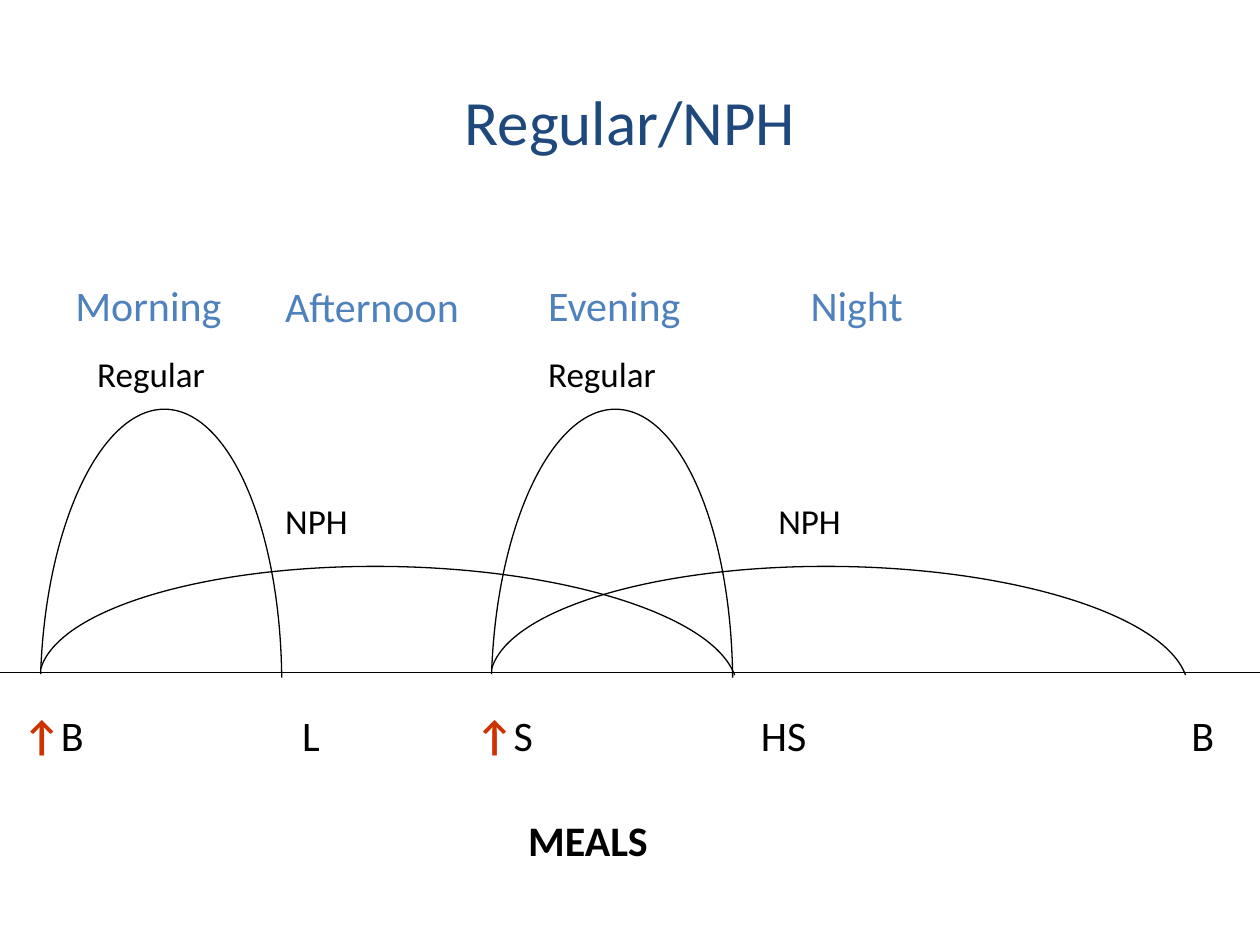
import dataclasses

import pptx
import pptx.dml.color
import pptx.enum.shapes
import pptx.enum.text
import pptx.oxml
import pptx.oxml.ns
import pptx.util

Cm = pptx.util.Cm
Pt = pptx.util.Pt
qn = pptx.oxml.ns.qn
Align = pptx.enum.text.PP_ALIGN
Anchor = pptx.enum.text.MSO_ANCHOR


@dataclasses.dataclass(frozen=True)
class Theme:
    font: str = "Calibri"
    ink: str = "000000"
    paper: str = "FFFFFF"
    title: str = "1F497D"
    period: str = "4F81BD"
    dose: str = "CC3300"
    title_size: int = 36
    body_size: int = 24
    label_size: int = 20
    line: float = 0.75


@dataclasses.dataclass(frozen=True)
class Box:
    """A region of the slide, in centimetres."""
    left: float
    top: float
    width: float
    height: float

    def inner(self, left, top, width, height):
        return Box(self.left + left, self.top + top, width, height)

    def lengths(self):
        return Cm(self.left), Cm(self.top), Cm(self.width), Cm(self.height)


THEME = Theme()
# Each curve is a start point, then three points for each Bezier segment.
REGULAR_CURVE = [(0.01, 6.6), (0.11, 3.6), (1.23, 1.24), (2.52, 1.26),
                 (3.81, 1.28), (4.84, 3.65), (4.87, 6.67)]
NPH_CURVE = [(0.01, 6.5), (0.36, 5.28), (3.4, 4.38), (7.04, 4.43),
             (10.59, 4.48), (13.56, 5.42), (14, 6.62)]
PERIODS = [("Afternoon", 5.5, 5.54, 4.65), ("Morning", 1.27, 5.5, 5.28),
           ("Evening", 10.8, 5.5, 5.08), ("Night", 16.09, 5.5, 5.72)]
MEAL_STOPS = [5.63, 9.13, 14.88, 23.56]
MEAL_SPANS = [("↑", True), ("B\tL\t", False), ("↑", True), ("S\tHS\tB", False)]


def rgb(color):
    return pptx.dml.color.RGBColor.from_string(color)


def style_line(shape, color=THEME.ink):
    shape.line.color.rgb = rgb(color)
    shape.line.width = Pt(THEME.line)


def add_span(para, text, size, color, bold=False):
    span = para.add_run()
    span.text = text
    span.font.name = THEME.font
    span.font.size = Pt(size)
    span.font.bold = bold
    span.font.color.rgb = rgb(color)


def add_text(page, box, text="", *, size=THEME.body_size, color=THEME.ink,
             bold=False, align=Align.LEFT, spacing=None, framed=False):
    if framed:
        shape = page.shapes.add_shape(
            pptx.enum.shapes.MSO_SHAPE.RECTANGLE, *box.lengths())
        shape.fill.background()
        shape.shadow.inherit = False
        style_line(shape, THEME.paper)
    else:
        shape = page.shapes.add_textbox(*box.lengths())
    frame = shape.text_frame
    frame.word_wrap = True
    frame.vertical_anchor = Anchor.TOP
    para = frame.paragraphs[0]
    para.alignment = align
    if spacing:
        para.line_spacing = spacing
    if text:
        add_span(para, text, size, color, bold)
    return frame


def add_curve(page, box, controls):
    """Draw an open outline and join its points as cubic Bezier segments."""
    points = [(Cm(box.left + x), Cm(box.top + y)) for x, y in controls]
    builder = page.shapes.build_freeform(*points[0])
    builder.add_line_segments(points[1:], close=False)
    curve = builder.convert_to_shape()
    curve.fill.background()
    curve.shadow.inherit = False
    style_line(curve)
    outline = next(curve._element.iter(qn("a:path")))
    segments = outline.findall(qn("a:lnTo"))
    for first in range(0, len(segments), 3):
        bezier = outline.makeelement(qn("a:cubicBezTo"))
        outline.append(bezier)
        for segment in segments[first:first + 3]:
            bezier.append(segment[0])
            outline.remove(segment)


def add_baseline(page, box):
    line = page.shapes.add_connector(
        pptx.enum.shapes.MSO_CONNECTOR.STRAIGHT, Cm(box.left), Cm(box.top),
        Cm(box.left + box.width), Cm(box.top))
    style_line(line)
    line._element.spPr.append(pptx.oxml.parse_xml(
        f"<a:effectLst {pptx.oxml.ns.nsdecls('a')}/>"))


def add_periods(page, box):
    for name, left, top, width in PERIODS:
        add_text(page, box.inner(left, top - box.top, width, box.height), name,
                 color=THEME.period)


def add_nph(page, box, label_left, label_width, framed):
    add_curve(page, box, NPH_CURVE)
    add_text(page, box.inner(label_left, 2.96, label_width, 1.1), "NPH",
             size=THEME.label_size, framed=framed)


def add_regular(page, box):
    add_curve(page, box, REGULAR_CURVE)
    add_text(page, box.inner(0.9, 0, 4.02, 1.1), "Regular",
             size=THEME.label_size, framed=True)


def add_meals(page, box):
    """Set the meals on one tabbed line, with arrows at the doses."""
    frame = add_text(page, box)
    frame.margin_left = Cm(0.46)
    para = frame.paragraphs[0]
    stops = "".join(f'<a:tab pos="{Cm(stop)}" algn="l"/>' for stop in MEAL_STOPS)
    para._p.get_or_add_pPr().append(pptx.oxml.parse_xml(
        f"<a:tabLst {pptx.oxml.ns.nsdecls('a')}>{stops}</a:tabLst>"))
    for text, is_dose in MEAL_SPANS:
        add_span(para, text, THEME.body_size,
                 THEME.dose if is_dose else THEME.ink, is_dose)


def main():
    deck = pptx.Presentation()
    deck.slide_width, deck.slide_height = Cm(25.4), Cm(19.05)
    page = deck.slides.add_slide(deck.slide_layouts[6])
    morning = Box(0.81, 6.99, 14, 6.7)
    evening = morning.inner(9.09, 0, 14, 6.7)
    add_periods(page, Box(0, 5.5, 25.4, 1.27))
    add_baseline(page, Box(0, 13.55, 25.4, 0))
    add_nph(page, morning, 4.69, 4.65, framed=False)
    add_nph(page, evening, 5.54, 5.51, framed=True)
    for cycle in (morning, evening):
        add_regular(page, cycle)
    add_meals(page, Box(0, 14.17, 25.4, 1.27))
    add_text(page, Box(8.58, 16.3, 6.55, 1.27), "MEALS", bold=True, align=Align.CENTER)
    add_text(page, Box(0, 1.83, 25.4, 1.55), "Regular/NPH", size=THEME.title_size,
             color=THEME.title, align=Align.CENTER, spacing=0.8)
    deck.save("out.pptx")


if __name__ == "__main__":
    main()
